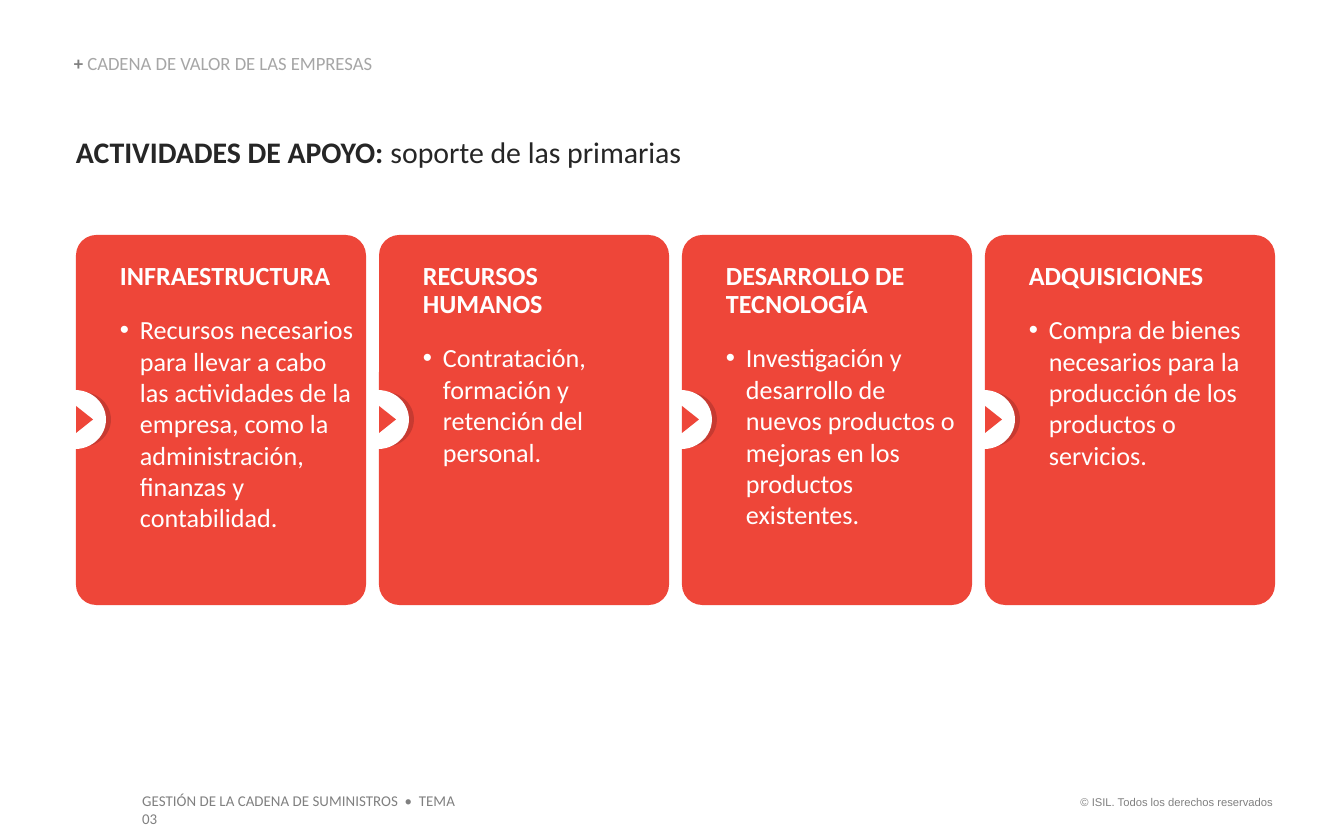
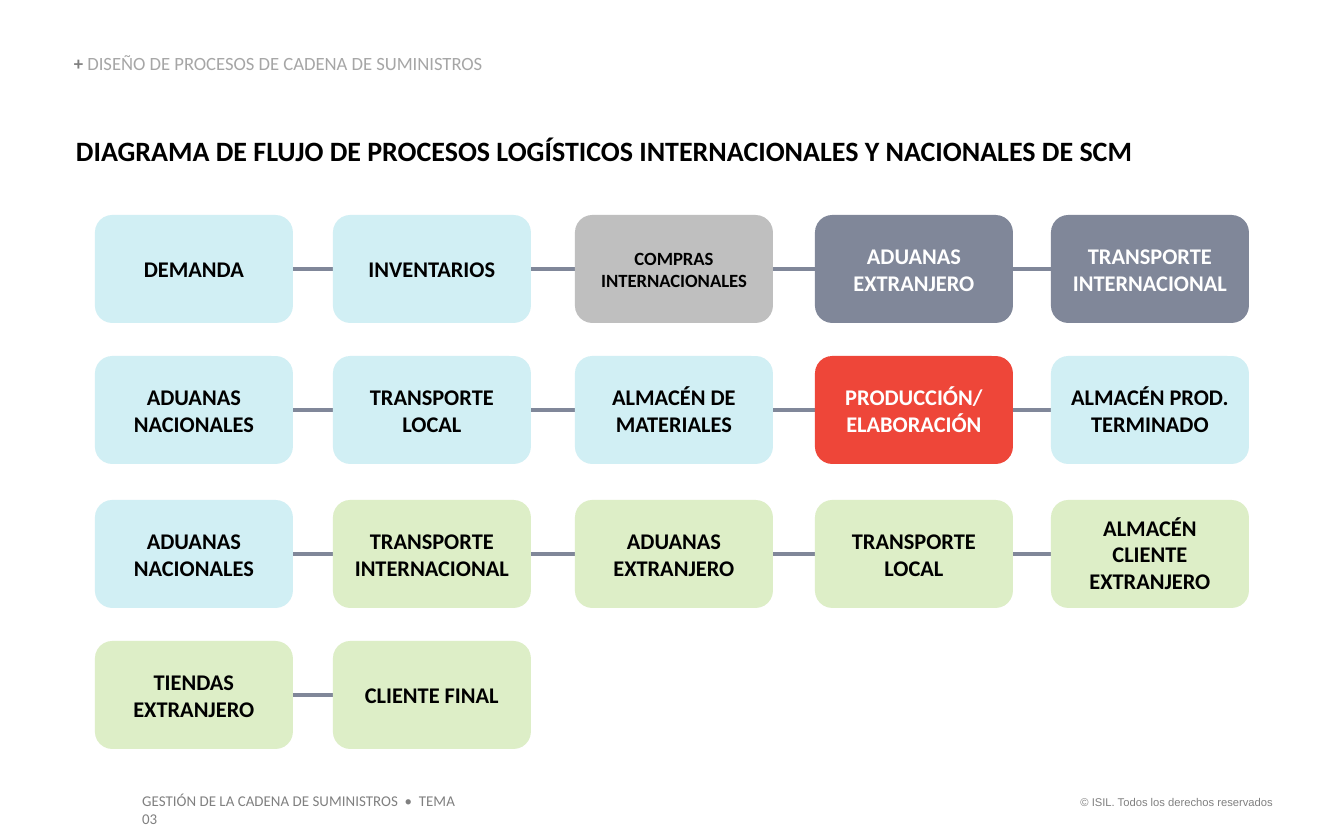
"""Builds two slides on supply chain management: support activities and a logistics flow."""
from lxml import etree
from pptx import Presentation
from pptx.dml.color import RGBColor
from pptx.enum.shapes import MSO_CONNECTOR, MSO_SHAPE
from pptx.enum.text import MSO_ANCHOR, PP_ALIGN
from pptx.oxml.ns import qn
from pptx.util import Pt

PX = 914400 / 134.4
COLORS = {
    "red": "EE4639", "dark_red": "C73A31", "white": "FFFFFF", "black": "000000",
    "ink": "262626", "gray": "808080", "light_gray": "A6A6A6", "silver": "BFBFBF",
    "slate": "808799", "blue": "D1EFF4", "green": "DDEEC7",
}

FOOTER = "GESTIÓN DE LA CADENA DE SUMINISTROS  •  TEMA 03"
COPYRIGHT = "© ISIL. Todos los derechos reservados"

SUPPORT_SECTION = "CADENA DE VALOR DE LAS EMPRESAS"
SUPPORT_TITLE = [("ACTIVIDADES DE APOYO: ", True), ("soporte de las primarias", False)]
ACTIVITIES = [
    ("INFRAESTRUCTURA", "Recursos necesarios para llevar a cabo las actividades de la empresa, "
                        "como la administración, finanzas y contabilidad."),
    ("RECURSOS HUMANOS", "Contratación, formación y retención del personal."),
    ("DESARROLLO DE TECNOLOGÍA", "Investigación y desarrollo de nuevos productos o mejoras "
                                 "en los productos existentes."),
    ("ADQUISICIONES", "Compra de bienes necesarios para la producción de los productos o servicios."),
]
CARD_LEFT, CARD_TOP, CARD_WIDTH, CARD_HEIGHT, CARD_PITCH = 76, 235, 290, 370, 303
CARD_INSETS = (38, 22, 0, 7)
MARKER = [
    (MSO_SHAPE.OVAL, "dark_red", (-23, 392, 58, 55), 0),
    (MSO_SHAPE.OVAL, "white", (-32, 390, 62, 59), 0),
    (MSO_SHAPE.ISOSCELES_TRIANGLE, "red", (-5, 411, 27, 17), 90),
]

FLOW_SECTION = "DISEÑO DE PROCESOS DE CADENA DE SUMINISTROS"
FLOW_TITLE = [("DIAGRAMA DE FLUJO DE PROCESOS LOGÍSTICOS INTERNACIONALES Y NACIONALES DE SCM", True)]
STEP_LEFTS = [95, 333, 575, 815, 1051]
STEP_WIDTH, STEP_HEIGHT = 198, 108
FLOW_ROWS = [
    (215, (147, 1101), [
        ("DEMANDA", "blue"), ("INVENTARIOS", "blue"), ("COMPRAS INTERNACIONALES", "silver"),
        ("ADUANAS EXTRANJERO", "slate"), ("TRANSPORTE INTERNACIONAL", "slate")]),
    (356, (147, 1101), [
        ("ADUANAS\nNACIONALES", "blue"), ("TRANSPORTE\nLOCAL", "blue"),
        ("ALMACÉN DE MATERIALES", "blue"), ("PRODUCCIÓN/\nELABORACIÓN", "red"),
        ("ALMACÉN PROD. TERMINADO", "blue")]),
    (500, (147, 1101), [
        ("ADUANAS\nNACIONALES", "blue"), ("TRANSPORTE\nINTERNACIONAL", "green"),
        ("ADUANAS\nEXTRANJERO", "green"), ("TRANSPORTE\nLOCAL", "green"),
        ("ALMACÉN CLIENTE EXTRANJERO", "green")]),
    (641, (233, 372), [("TIENDAS\nEXTRANJERO", "green"), ("CLIENTE FINAL", "green")]),
]


def px(length):
    return round(length * PX)


def rgb(color):
    return RGBColor.from_string(COLORS[color])


def set_font(font, size, color, bold=False, name="Calibri"):
    font.name, font.size, font.bold = name, Pt(size), bold
    font.color.rgb = rgb(color)


def set_insets(frame, insets):
    frame.margin_left, frame.margin_top, frame.margin_right, frame.margin_bottom = map(px, insets)


def add_text_frame(slide, place, insets=None):
    frame = slide.shapes.add_textbox(*map(px, place)).text_frame
    frame.word_wrap = True
    if insets:
        set_insets(frame, insets)
    return frame


def add_filled(slide, preset, place, color):
    shape = slide.shapes.add_shape(preset, *map(px, place))
    shape.shadow.inherit = False
    shape.fill.solid()
    shape.fill.fore_color.rgb = rgb(color)
    shape.line.fill.background()
    return shape


def add_runs(paragraph, runs, size):
    for text, color, bold in runs:
        run = paragraph.add_run()
        run.text = text
        set_font(run.font, size, color, bold)


def set_indent(paragraph, left, first=0):
    properties = paragraph._p.get_or_add_pPr()
    properties.set("marL", str(px(left)))
    properties.set("indent", str(px(first)))
    return properties


def add_bullet(paragraph, color):
    properties = set_indent(paragraph, 20, -20)
    bullet_color = etree.SubElement(properties, qn("a:buClr"))
    etree.SubElement(bullet_color, qn("a:srgbClr"), val=COLORS[color])
    etree.SubElement(properties, qn("a:buFont"), typeface="Arial")
    etree.SubElement(properties, qn("a:buChar"), char="•")


def add_base_slide(deck, section, title, title_place, title_size, title_color):
    slide = deck.slides.add_slide(deck.slide_layouts[6])

    copyright_line = add_text_frame(slide, (1059, 789, 227, 27)).paragraphs[0]
    copyright_line.text = COPYRIGHT
    copyright_line.alignment = PP_ALIGN.RIGHT
    set_font(copyright_line.font, 6, "gray", name="Arial")

    footer = add_text_frame(slide, (129, 785, 358, 32)).paragraphs[0]
    footer.text = FOOTER
    set_font(footer.font, 8, "gray")

    heading = add_text_frame(slide, title_place, (0, 0, 0, 0)).paragraphs[0]
    set_indent(heading, 1)
    add_runs(heading, [(text, title_color, bold) for text, bold in title], title_size)

    section_frame = add_text_frame(slide, (74, 55, 625, 20), (0, 0, 0, 0))
    section_frame.vertical_anchor = MSO_ANCHOR.BOTTOM
    section_line = section_frame.paragraphs[0]
    section_line.line_spacing = 0.9
    add_runs(section_line, [("+ ", "gray", True), (section, "light_gray", False)], 10)
    return slide


def add_activity(slide, left, name, description):
    card = add_filled(slide, MSO_SHAPE.ROUNDED_RECTANGLE,
                      (left, CARD_TOP, CARD_WIDTH, CARD_HEIGHT), "red")
    card.adjustments[0] = 0.07
    frame = card.text_frame
    frame.vertical_anchor = MSO_ANCHOR.TOP
    set_insets(frame, CARD_INSETS)
    frame.text = f"{name}\n{description}"
    heading, detail = frame.paragraphs
    heading.line_spacing = 0.9
    heading.space_after = Pt(12)
    add_bullet(detail, "white")
    for paragraph, bold in ((heading, True), (detail, False)):
        paragraph.alignment = PP_ALIGN.LEFT
        set_font(paragraph.font, 14, "white", bold)
    for preset, color, (dx, top, width, height), rotation in MARKER:
        add_filled(slide, preset, (left + dx, top, width, height), color).rotation = rotation


def add_link(slide, start, end, y):
    link = slide.shapes.add_connector(MSO_CONNECTOR.STRAIGHT, *map(px, (start, y, end, y)))
    link.line.color.rgb = rgb("slate")
    link.line.width = Pt(2.25)
    etree.SubElement(link._element.spPr, qn("a:effectLst"))


def add_step(slide, left, top, text, color):
    step = add_filled(slide, MSO_SHAPE.ROUNDED_RECTANGLE,
                      (left, top, STEP_WIDTH, STEP_HEIGHT), color)
    step.adjustments[0] = 0.16
    step.text_frame.text = text
    step.text_frame.vertical_anchor = MSO_ANCHOR.MIDDLE
    for paragraph in step.text_frame.paragraphs:
        paragraph.alignment = PP_ALIGN.CENTER
        set_font(paragraph.font, 10 if color == "silver" else 12,
                 "white" if color in ("slate", "red") else "black", True)


def build_support(deck):
    slide = add_base_slide(deck, SUPPORT_SECTION, SUPPORT_TITLE, (75, 134, 626, 36), 16, "ink")
    for index, (name, description) in reversed(list(enumerate(ACTIVITIES))):
        add_activity(slide, CARD_LEFT + index * CARD_PITCH, name, description)


def build_flow(deck):
    slide = add_base_slide(deck, FLOW_SECTION, FLOW_TITLE, (75, 134, 1116, 34), 15, "black")
    for top, (start, end), steps in FLOW_ROWS:
        add_link(slide, start, end, top + STEP_HEIGHT // 2)
        for left, (text, color) in zip(STEP_LEFTS, steps):
            add_step(slide, left, top, text, color)


def main():
    deck = Presentation()
    deck.slide_width, deck.slide_height = px(1344), px(840)
    build_support(deck)
    build_flow(deck)
    deck.save("out.pptx")


if __name__ == "__main__":
    main()
